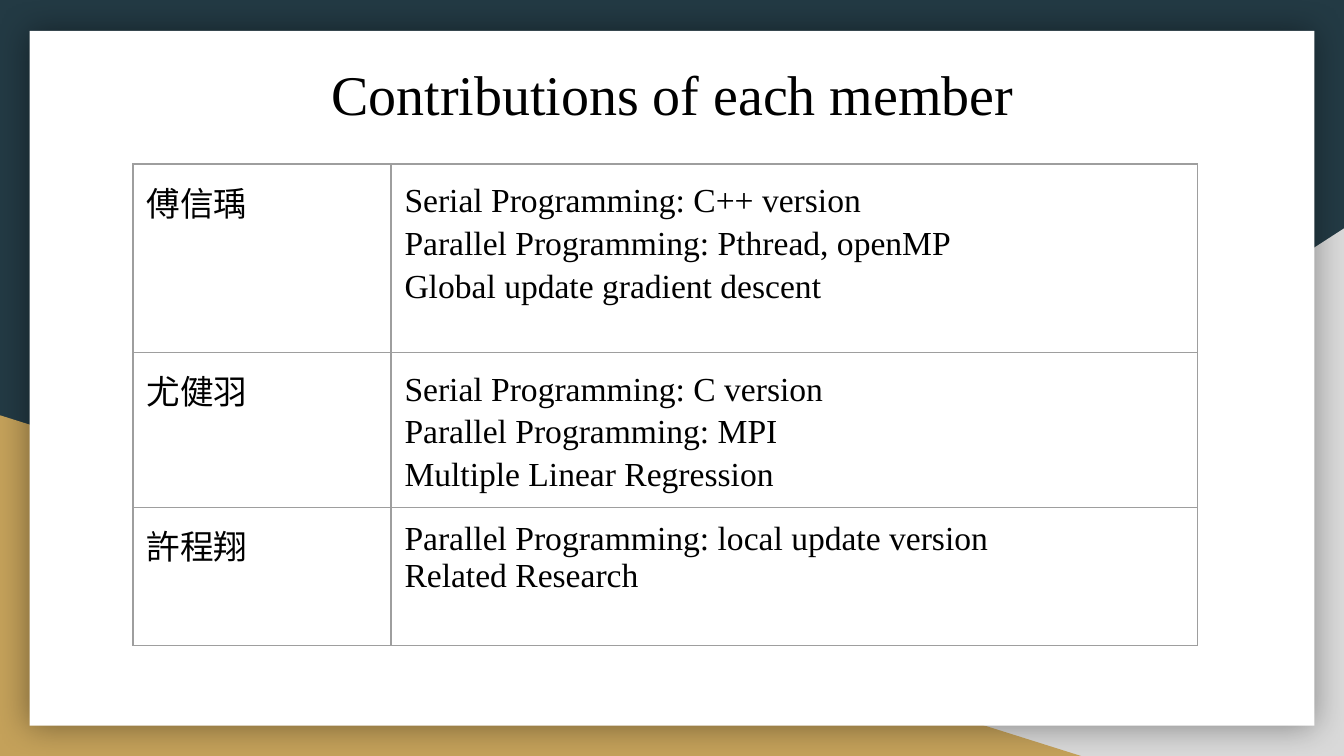
from dataclasses import dataclass

from lxml import etree
from pptx import Presentation
from pptx.dml.color import RGBColor as Color
from pptx.enum.shapes import MSO_SHAPE as Shape
from pptx.enum.text import MSO_ANCHOR as Anchor, PP_ALIGN as Align
from pptx.oxml import parse_xml
from pptx.oxml.ns import nsdecls, qn
from pptx.util import Inches, Pt


@dataclass(frozen=True)
class Theme:
    """Colours, fonts and type sizes of the slide."""
    navy: str = "233A44"
    grey: str = "D9D9D9"
    gold: str = "C4A15A"
    white: str = "FFFFFF"
    black: str = "000000"
    border: str = "9E9E9E"
    name_font: str = "Arial"
    text_font: str = "Times New Roman"
    title_size: int = 30
    body_size: int = 18
    border_width: float = 0.75
    inset: float = 0.1


class SlideBuilder:
    """Holds the theme and the current slide, and adds elements to it."""

    def __init__(self, presentation, theme):
        """Add a title-only slide with the theme's background."""
        self.theme = theme
        self.slide = presentation.slides.add_slide(presentation.slide_layouts[5])
        fill = self.slide.background.fill
        fill.solid()
        fill.fore_color.rgb = Color.from_string(theme.navy)

    def shape(self, kind, box, color, flip=False, glow=False):
        """Add a filled shape, optionally mirrored or with a soft shadow."""
        shape = self.slide.shapes.add_shape(kind, *map(Inches, box))
        shape.fill.solid()
        shape.fill.fore_color.rgb = Color.from_string(color)
        shape.line.fill.background()
        shape.shadow.inherit = False
        properties = shape.element.spPr
        if flip:
            properties.get_or_add_xfrm().set("flipH", "1")
        if glow:
            properties.find(qn("a:effectLst")).append(parse_xml(
                f'<a:outerShdw {nsdecls("a")} blurRad="{Pt(18)}" dist="0" dir="0">'
                f'<a:srgbClr val="{self.theme.black}"><a:alpha val="40000"/></a:srgbClr>'
                '</a:outerShdw>'))

    def title(self, text, box):
        """Fill the title placeholder and bring it to the front."""
        title = self.slide.shapes.title
        title.left, title.top, title.width, title.height = map(Inches, box)
        frame = title.text_frame
        frame.text = text
        frame.word_wrap = True
        frame.vertical_anchor = Anchor.TOP
        self.inset(frame)
        frame.paragraphs[0].alignment = Align.CENTER
        self.format(frame, self.theme.text_font, self.theme.title_size)
        title.element.getparent().append(title.element)

    def table(self, left, top, widths, heights, rows):
        """Add a bordered table of names and lists of lines."""
        box = map(Inches, (left, top, sum(widths), sum(heights)))
        table = self.slide.shapes.add_table(len(rows), len(widths), *box).table
        table.first_row = table.horz_banding = False
        for column, width in zip(table.columns, widths):
            column.width = Inches(width)
        for row, height, (name, lines, spacing) in zip(table.rows, heights, rows):
            row.height = Inches(height)
            name_cell, lines_cell = row.cells
            self.cell(name_cell, name, self.theme.name_font)
            self.cell(lines_cell, "\n".join(lines), self.theme.text_font, spacing)

    def cell(self, cell, text, font, spacing=1.0):
        """Write and style one table cell."""
        cell.text_frame.text = text
        cell.fill.background()
        self.inset(cell)
        for paragraph in cell.text_frame.paragraphs:
            paragraph.line_spacing = spacing
        self.format(cell.text_frame, font, self.theme.body_size)
        properties = cell.fill._xPr
        for index, side in enumerate(("lnL", "lnR", "lnT", "lnB")):
            line = etree.Element(qn(f"a:{side}"), w=str(Pt(self.theme.border_width)))
            fill = etree.SubElement(line, qn("a:solidFill"))
            etree.SubElement(fill, qn("a:srgbClr"), val=self.theme.border)
            properties.insert(index, line)

    def inset(self, holder):
        """Give a text frame or cell equal margins."""
        margin = Inches(self.theme.inset)
        holder.margin_left = holder.margin_right = margin
        holder.margin_top = holder.margin_bottom = margin

    def format(self, frame, font, size):
        """Set font, size and colour on every run."""
        for paragraph in frame.paragraphs:
            for run in paragraph.runs:
                run.font.name = font
                run.font.size = Pt(size)
                run.font.color.rgb = Color.from_string(self.theme.black)


def main():
    """Build and save the contributions slide."""
    presentation = Presentation()
    presentation.slide_width = Inches(10)
    presentation.slide_height = Inches(5.625)
    theme = Theme()
    builder = SlideBuilder(presentation, theme)
    builder.shape(Shape.RIGHT_TRIANGLE, (3.92, 1.7, 6.08, 3.93), theme.grey, flip=True)
    builder.shape(Shape.RIGHT_TRIANGLE, (0, 3.09, 8.06, 2.54), theme.gold)
    builder.shape(Shape.RECTANGLE, (0.22, 0.23, 9.56, 5.17), theme.white, glow=True)
    builder.title("Contributions of each member", (0.9, 0.34, 8.21, 1.04))
    contributions = [
        ("傅信瑀", ["Serial Programming: C++ version",
                 "Parallel Programming: Pthread, openMP",
                 "Global update gradient descent"], 1.15),
        ("尤健羽", ["Serial Programming: C version",
                 "Parallel Programming: MPI",
                 "Multiple Linear Regression"], 1.15),
        ("許程翔", ["Parallel Programming: local update version",
                 "Related Research"], 1.0),
    ]
    builder.table(0.99, 1.22, (1.92, 6), (1.4, 1.15, 1.03), contributions)
    presentation.save("out.pptx")


if __name__ == "__main__":
    main()
